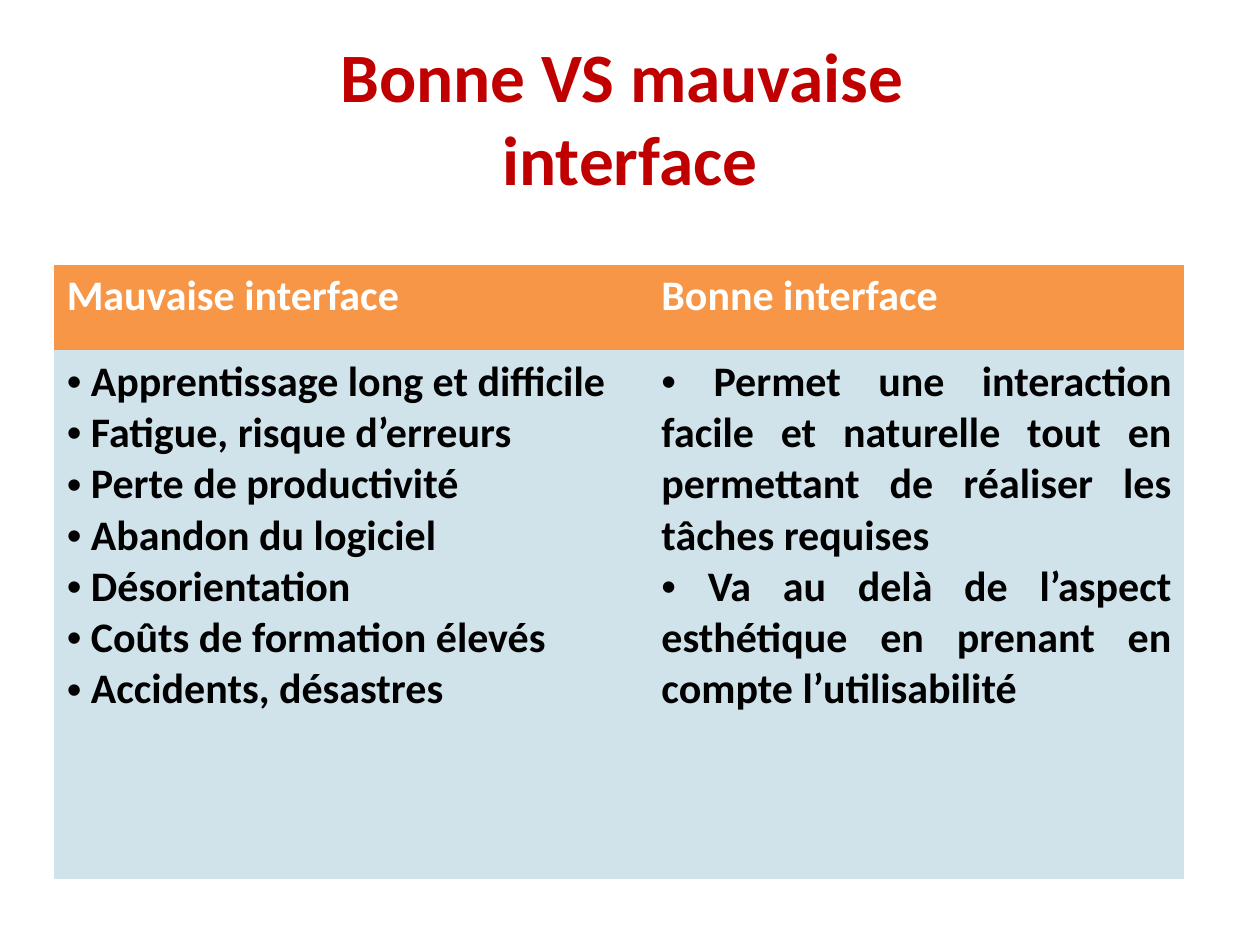
"""Build a slide that compares bad and good interfaces in a table."""
import pptx
import pptx.dml.color
import pptx.enum.text
import pptx.oxml
import pptx.oxml.ns
import pptx.util

Inches = pptx.util.Inches
Align = pptx.enum.text.PP_ALIGN
Anchor = pptx.enum.text.MSO_ANCHOR

HEADS = ["Mauvaise interface", "Bonne interface"]
LISTS = [
    [
        " Apprentissage long et difficile",
        " Fatigue, risque d’erreurs ",
        " Perte de productivité",
        " Abandon du logiciel",
        " Désorientation",
        " Coûts de formation élevés",
        " Accidents, désastres",
    ],
    [
        " Permet une interaction facile et naturelle tout en permettant "
        "de réaliser les tâches requises",
        " Va au delà de l’aspect esthétique en prenant en compte "
        "l’utilisabilité",
    ],
]


def color(code):
    return pptx.dml.color.RGBColor.from_string(code)


def write(frame, lines, size=24, ink="000000", align=Align.JUSTIFY, mark=None):
    frame.word_wrap = True
    for i, line in enumerate(lines):
        para = frame.paragraphs[0] if i == 0 else frame.add_paragraph()
        para.text = line
        para.alignment = align
        for run in para.runs:
            font = run.font
            font.name = "Calibri"
            font.size = pptx.util.Pt(size)
            font.bold = True
            font.color.rgb = color(ink)
        if mark:
            props = para._p.get_or_add_pPr()
            face = pptx.oxml.ns.qn("a:buFont")
            props.append(props.makeelement(face, {"typeface": "Arial"}))
            sign = pptx.oxml.ns.qn("a:buChar")
            props.append(props.makeelement(sign, {"char": mark}))


def place(shape, left, top, width, height):
    shape.left, shape.top = Inches(left), Inches(top)
    shape.width, shape.height = Inches(width), Inches(height)


def head(slide, text):
    title = slide.shapes.title
    place(title, 0.5, 0.3, 9, 1.25)
    write(title.text_frame, [text], size=39.6, ink="C00000", align=Align.CENTER)
    title.text_frame.vertical_anchor = Anchor.MIDDLE


def fill(cell, lines, back, **style):
    cell.fill.solid()
    cell.fill.fore_color.rgb = color(back)
    write(cell.text_frame, lines, **style)


def grid(slide):
    frame = slide.shapes.add_table(
        2, 2, Inches(0.43), Inches(2.1), Inches(8.97), Inches(4.88))
    table = frame.table
    for col, width in zip(table.columns, (4.72, 4.25)):
        col.width = Inches(width)
    for row, height in zip(table.rows, (0.68, 4.2)):
        row.height = Inches(height)
    table.horz_banding = False
    table.first_row = False
    style = table._tbl.tblPr.find(pptx.oxml.ns.qn("a:tableStyleId"))
    style.text = "{2D5ABB26-0587-4C30-8999-92F81FD0307C}"
    for i, (name, items) in enumerate(zip(HEADS, LISTS)):
        fill(table.cell(0, i), [name], "F79646", ink="FFFFFF")
        fill(table.cell(1, i), items, "D0E3EA", mark="•")


def main():
    deck = pptx.Presentation()
    deck.slide_width, deck.slide_height = Inches(10), Inches(7.5)
    slide = deck.slides.add_slide(deck.slide_layouts[5])
    head(slide, "Bonne VS mauvaise \vinterface")
    grid(slide)
    deck.save("out.pptx")


if __name__ == "__main__":
    main()
